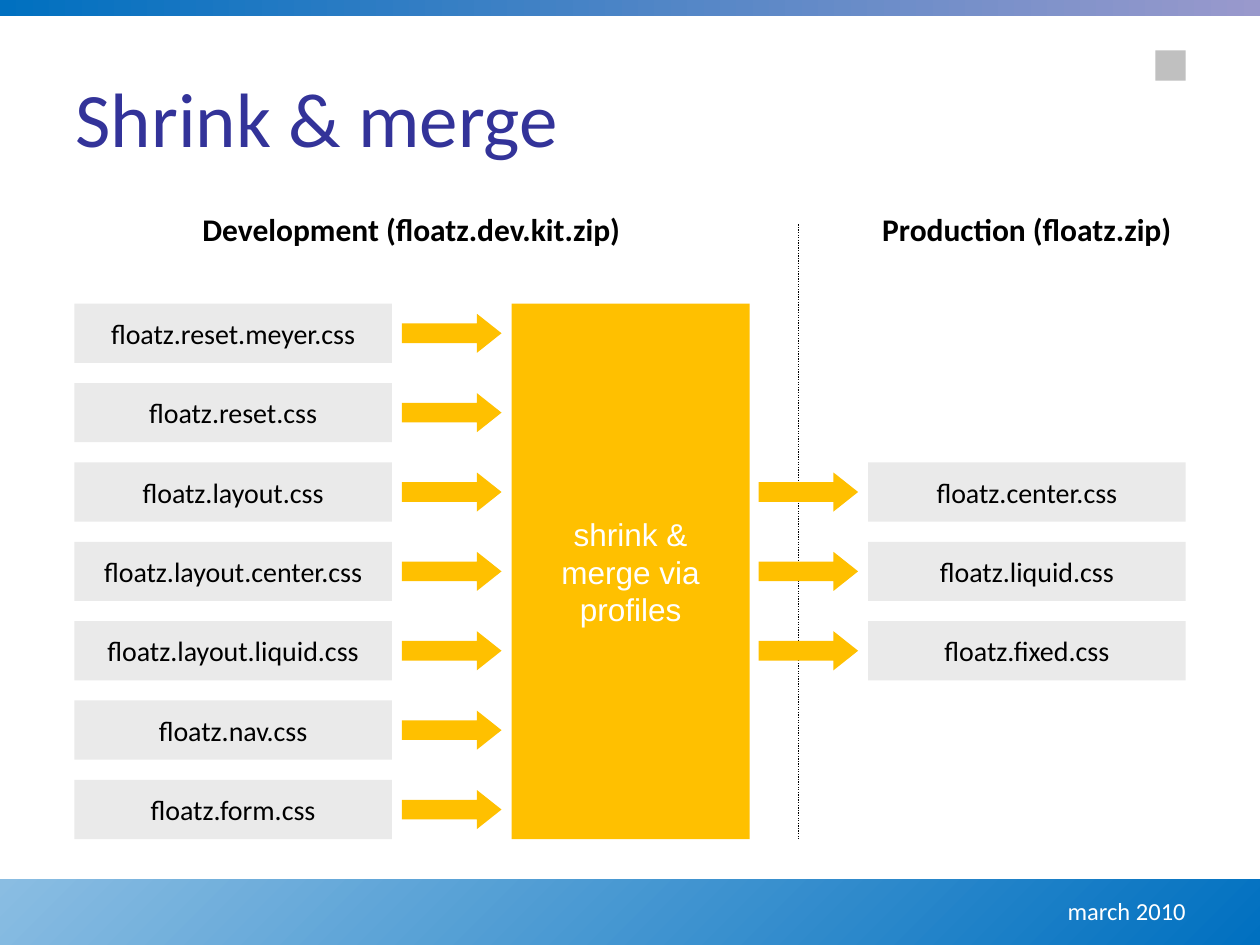
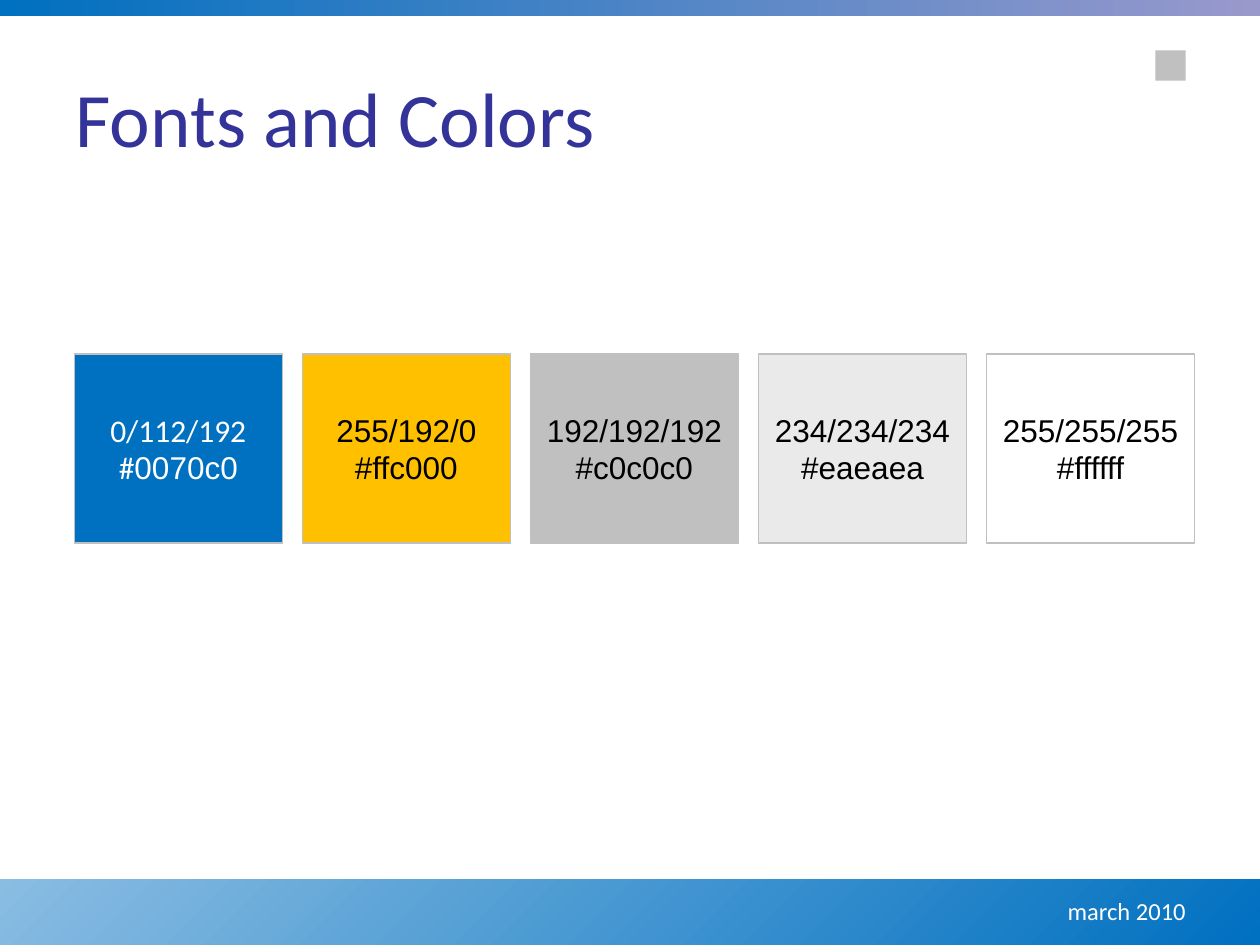
from dataclasses import dataclass

from pptx import Presentation
from pptx.dml.color import RGBColor
from pptx.enum.dml import MSO_LINE
from pptx.enum.shapes import MSO_CONNECTOR, MSO_SHAPE
from pptx.enum.text import MSO_ANCHOR, MSO_AUTO_SIZE, PP_ALIGN
from pptx.oxml.ns import qn
from pptx.shapes.autoshape import Shape
from pptx.slide import Slide
from pptx.text.text import TextFrame
from pptx.util import Inches, Pt

RECTANGLE = MSO_SHAPE.RECTANGLE
RIGHT_ARROW = MSO_SHAPE.RIGHT_ARROW
STRAIGHT = MSO_CONNECTOR.STRAIGHT
DOTTED = MSO_LINE.ROUND_DOT
MIDDLE = MSO_ANCHOR.MIDDLE
TOP = MSO_ANCHOR.TOP
LEFT = PP_ALIGN.LEFT
CENTER = PP_ALIGN.CENTER
RIGHT = PP_ALIGN.RIGHT
FIXED_SIZE = MSO_AUTO_SIZE.NONE

BLUE = RGBColor(0x00, 0x70, 0xC0)
LIGHT_BLUE = RGBColor(0x8A, 0xBD, 0xE2)
LAVENDER = RGBColor(0x99, 0x99, 0xCC)
INDIGO = RGBColor(0x33, 0x33, 0x99)
AMBER = RGBColor(0xFF, 0xC0, 0x00)
SILVER = RGBColor(0xC0, 0xC0, 0xC0)
PALE_GRAY = RGBColor(0xEA, 0xEA, 0xEA)
WHITE = RGBColor(0xFF, 0xFF, 0xFF)
BLACK = RGBColor(0x00, 0x00, 0x00)

HEADING_FONT = "Calibri"
BODY_FONT = "Arial"
TITLE_ONLY_LAYOUT = 5


@dataclass(frozen=True)
class Area:
    left: float
    top: float
    width: float
    height: float

    def lengths(self) -> tuple[int, int, int, int]:
        return (Inches(self.left), Inches(self.top),
                Inches(self.width), Inches(self.height))


@dataclass(frozen=True)
class TextStyle:
    font: str
    size: int
    color: RGBColor
    align: PP_ALIGN = CENTER
    bold: bool = False


@dataclass(frozen=True)
class Band:
    area: Area
    start: RGBColor
    end: RGBColor
    angle: int


@dataclass(frozen=True)
class FileColumn:
    left: float
    arrow_left: float
    first_row: int
    files: tuple[str, ...]


@dataclass(frozen=True)
class Heading:
    area: Area
    text: str


@dataclass(frozen=True)
class Swatch:
    color: RGBColor
    text_color: RGBColor = BLACK
    font: str = BODY_FONT


TITLE_STYLE = TextStyle(HEADING_FONT, 44, INDIGO, LEFT)
DATE_STYLE = TextStyle(HEADING_FONT, 14, WHITE, RIGHT)
HEADING_STYLE = TextStyle(HEADING_FONT, 18, BLACK, bold=True)
FILE_STYLE = TextStyle(HEADING_FONT, 16, BLACK)
PROCESS_STYLE = TextStyle(BODY_FONT, 18, WHITE)

TITLE_AREA = Area(0.5, 0.3, 9, 1.25)
DATE_AREA = Area(6.34, 7.06, 3.17, 0.21)
EMBLEM_AREA = Area(9.17, 0.4, 0.24, 0.24)
BANDS = (
    Band(Area(0, 6.98, 10, 0.52), LIGHT_BLUE, BLUE, 315),
    Band(Area(0, 0, 10, 0.13), BLUE, LAVENDER, 0),
)

ROW_TOP = 2.41
ROW_PITCH = 0.63
FILE_WIDTH = 2.52
FILE_HEIGHT = 0.47
ARROW_WIDTH = 0.79
ARROW_HEIGHT = 0.31
ARROW_HEAD = 0.63
PROCESS_AREA = Area(4.06, ROW_TOP, 1.89, 4.25)
DIVIDER_X = 6.34
DIVIDER_TOP = 1.78
DIVIDER_BOTTOM = 6.66

HEADINGS = (
    Heading(Area(0.59, 1.62, 5.35, 0.4), "Development (floatz.dev.kit.zip)"),
    Heading(Area(6.89, 1.62, FILE_WIDTH, 0.4), "Production (floatz.zip)"),
)
FILE_COLUMNS = (
    FileColumn(0.59, 3.19, 0, (
        "floatz.reset.meyer.css",
        "floatz.reset.css",
        "floatz.layout.css",
        "floatz.layout.center.css",
        "floatz.layout.liquid.css",
        "floatz.nav.css",
        "floatz.form.css",
    )),
    FileColumn(6.89, 6.02, 2, (
        "floatz.center.css",
        "floatz.liquid.css",
        "floatz.fixed.css",
    )),
)

SWATCH_LEFT = 0.59
SWATCH_TOP = 2.81
SWATCH_PITCH = 1.81
SWATCH_WIDTH = 1.65
SWATCH_HEIGHT = 1.5
SWATCHES = (
    Swatch(BLUE, WHITE, HEADING_FONT),
    Swatch(AMBER),
    Swatch(SILVER),
    Swatch(PALE_GRAY),
    Swatch(WHITE),
)


def write_text(frame: TextFrame, lines: tuple[str, ...], style: TextStyle,
               anchor: MSO_ANCHOR, wrap: bool) -> None:
    frame.text = "\n".join(lines)
    frame.word_wrap = wrap
    frame.auto_size = FIXED_SIZE
    frame.vertical_anchor = anchor
    for paragraph in frame.paragraphs:
        paragraph.alignment = style.align
        paragraph.font.name = style.font
        paragraph.font.size = Pt(style.size)
        paragraph.font.bold = style.bold
        paragraph.font.color.rgb = style.color


def add_figure(slide: Slide, area: Area, fill: RGBColor | None,
               preset: MSO_SHAPE = RECTANGLE) -> Shape:
    figure = slide.shapes.add_shape(preset, *area.lengths())
    figure.shadow.inherit = False
    figure.line.fill.background()
    if fill is not None:
        figure.fill.solid()
        figure.fill.fore_color.rgb = fill
    return figure


def add_label(slide: Slide, area: Area, text: str, style: TextStyle) -> None:
    label = slide.shapes.add_textbox(*area.lengths())
    write_text(label.text_frame, (text,), style, TOP, True)


def add_band(slide: Slide, band: Band) -> None:
    fill = add_figure(slide, band.area, None).fill
    fill.gradient()
    fill.gradient_angle = band.angle
    for stop, color in zip(fill.gradient_stops, (band.start, band.end)):
        stop.color.rgb = color


def add_framed_slide(deck: Presentation, title: str) -> Slide:
    slide = deck.slides.add_slide(deck.slide_layouts[TITLE_ONLY_LAYOUT])
    for band in BANDS:
        add_band(slide, band)
    add_figure(slide, EMBLEM_AREA, SILVER)
    add_label(slide, DATE_AREA, "march 2010", DATE_STYLE)
    heading = slide.shapes.title
    heading.left, heading.top, heading.width, heading.height = TITLE_AREA.lengths()
    write_text(heading.text_frame, (title,), TITLE_STYLE, MIDDLE, True)
    return slide


def add_divider(slide: Slide) -> None:
    divider = slide.shapes.add_connector(
        STRAIGHT, Inches(DIVIDER_X), Inches(DIVIDER_TOP),
        Inches(DIVIDER_X), Inches(DIVIDER_BOTTOM))
    divider.line.color.rgb = BLACK
    divider.line.width = Pt(0.75)
    divider.line.dash_style = DOTTED
    properties = divider.element.spPr
    properties.append(properties.makeelement(qn("a:effectLst"), {}))


def add_file_column(slide: Slide, column: FileColumn) -> None:
    for row, file_name in enumerate(column.files, column.first_row):
        top = ROW_TOP + row * ROW_PITCH
        file_box = add_figure(
            slide, Area(column.left, top, FILE_WIDTH, FILE_HEIGHT), PALE_GRAY)
        write_text(file_box.text_frame, (file_name,), FILE_STYLE, MIDDLE, False)
        arrow_top = top + (FILE_HEIGHT - ARROW_HEIGHT) / 2
        arrow = add_figure(
            slide, Area(column.arrow_left, arrow_top, ARROW_WIDTH, ARROW_HEIGHT),
            AMBER, RIGHT_ARROW)
        arrow.adjustments[1] = ARROW_HEAD


def add_swatch(slide: Slide, swatch: Swatch, position: int) -> None:
    left = SWATCH_LEFT + position * SWATCH_PITCH
    tile = add_figure(
        slide, Area(left, SWATCH_TOP, SWATCH_WIDTH, SWATCH_HEIGHT), swatch.color)
    tile.line.color.rgb = SILVER
    tile.line.width = Pt(0.75)
    decimal_code = "/".join(str(channel) for channel in swatch.color)
    hex_code = str(swatch.color).lower()
    style = TextStyle(swatch.font, 18, swatch.text_color)
    write_text(tile.text_frame, (decimal_code, f"#{hex_code}"), style, MIDDLE, False)
    if swatch.font != BODY_FONT:
        hex_line = tile.text_frame.paragraphs[1]
        hex_line.runs[0].text = "#"
        digits = hex_line.add_run()
        digits.text = hex_code
        digits.font.name = BODY_FONT


def build_merge_slide(deck: Presentation) -> None:
    slide = add_framed_slide(deck, "Shrink & merge")
    add_divider(slide)
    for column in FILE_COLUMNS:
        add_file_column(slide, column)
    process = add_figure(slide, PROCESS_AREA, AMBER)
    write_text(process.text_frame, ("shrink &", "merge via", "profiles"),
               PROCESS_STYLE, MIDDLE, False)
    for heading in HEADINGS:
        add_label(slide, heading.area, heading.text, HEADING_STYLE)


def build_colors_slide(deck: Presentation) -> None:
    slide = add_framed_slide(deck, "Fonts and Colors")
    for position, swatch in enumerate(SWATCHES):
        add_swatch(slide, swatch, position)


def main() -> None:
    deck = Presentation()
    deck.slide_width = Inches(10)
    deck.slide_height = Inches(7.5)
    build_merge_slide(deck)
    build_colors_slide(deck)
    deck.save("out.pptx")


if __name__ == "__main__":
    main()
